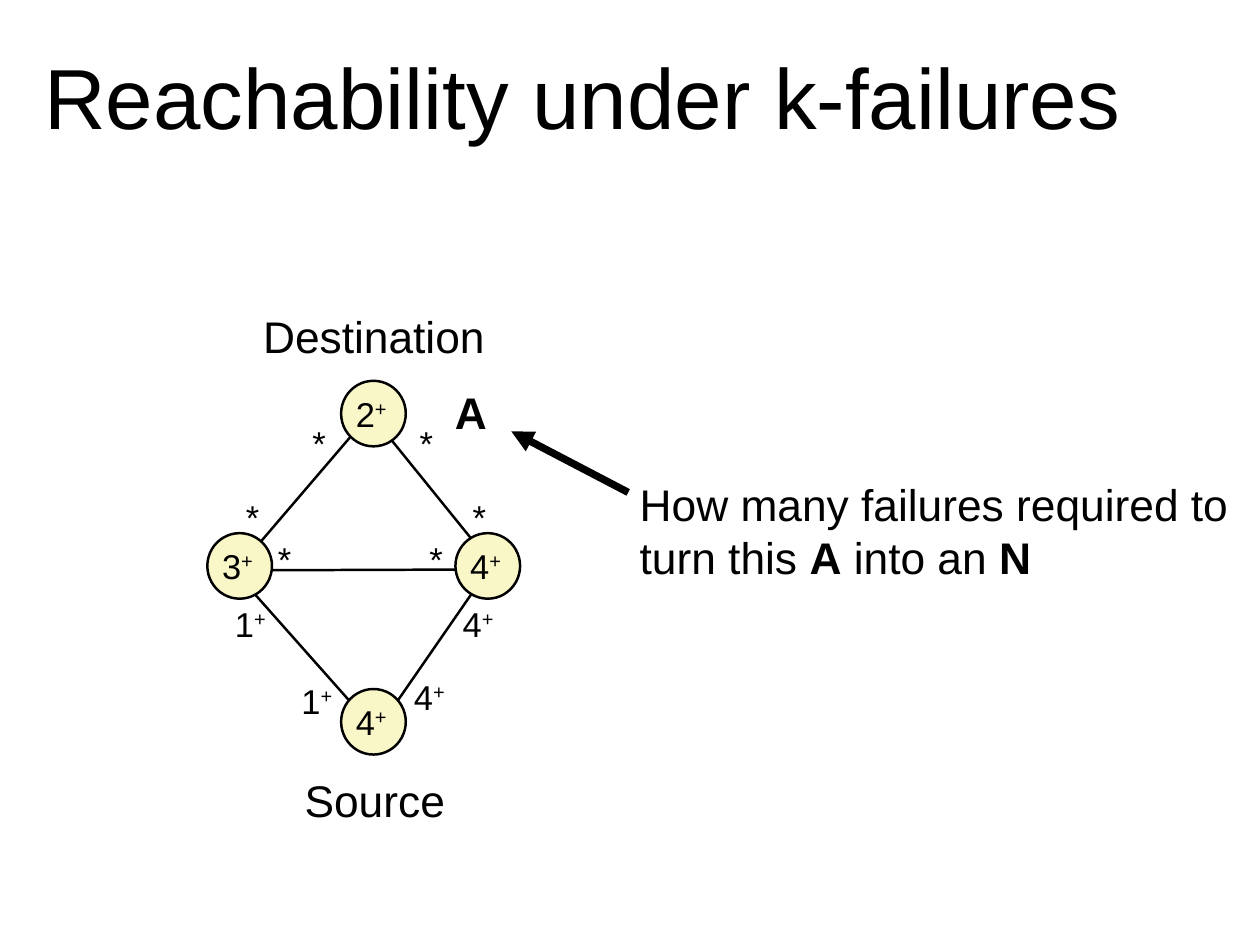
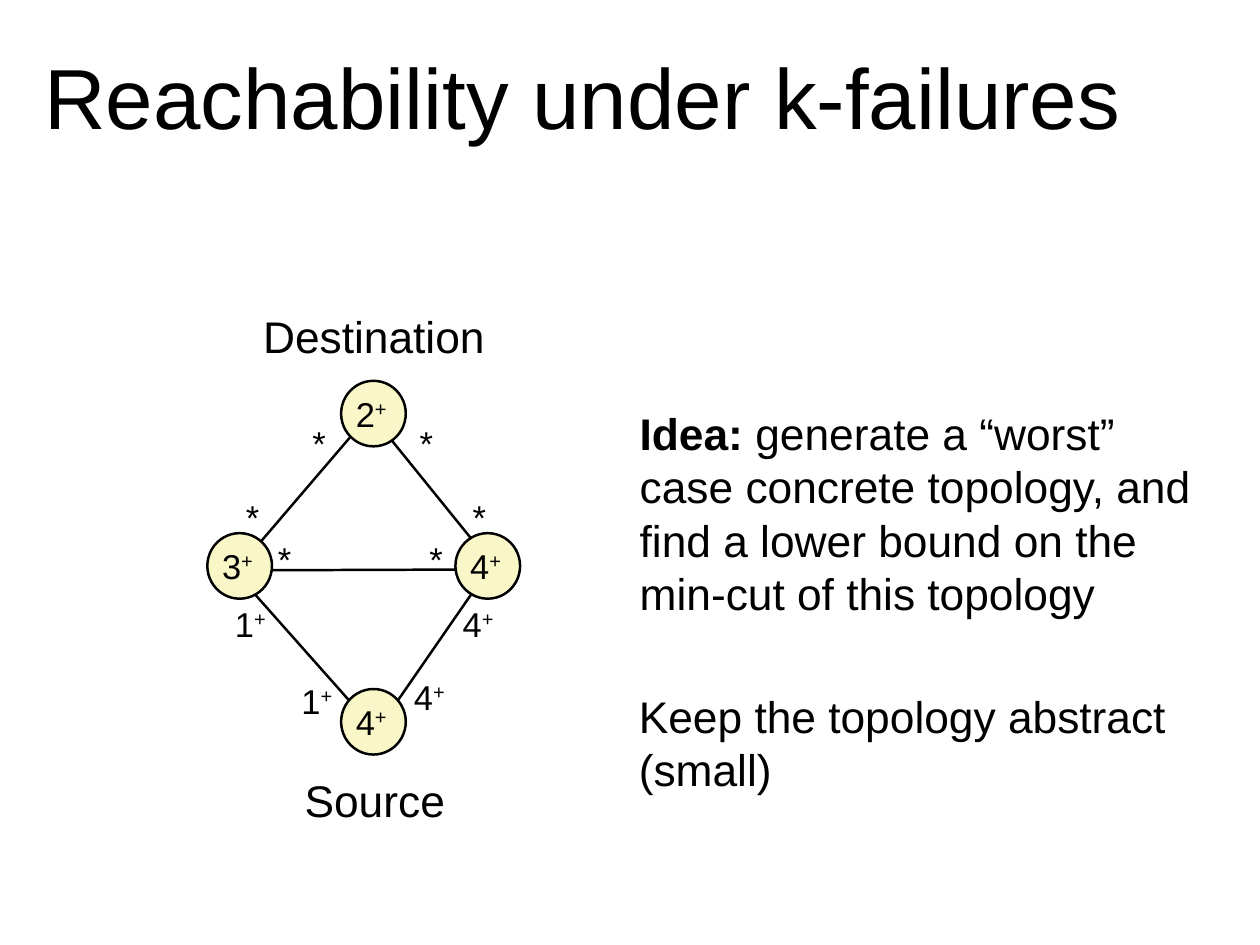
"""Builds two slides on reachability under k-failures in an abstract topology."""
from lxml import etree
from pptx import Presentation
from pptx import util as u
from pptx.dml.color import RGBColor
from pptx.enum import shapes, text
from pptx.oxml import ns

PX = 9144
BLACK = RGBColor(0x00, 0x00, 0x00)
CREAM = RGBColor(0xF9, 0xF6, 0xC7)
FONT = "Arial"
LEFT, MID = text.PP_ALIGN.LEFT, text.PP_ALIGN.CENTER
NODE = (73, 74)

LINKS = [(270, 640, 418, 467), (422, 830, 554, 639), (426, 827, 262, 642),
         (560, 643, 416, 465), (270, 644, 553, 643)]
NODES = [("4", 385, 778), ("2", 385, 430), ("4", 514, 602), ("3", 234, 602)]
COUNTS = [("1", 257, 675), ("1", 332, 762), ("4", 459, 758), ("4", 514, 675)]
STARS = [(478, 602), (307, 602), (271, 554), (346, 471), (527, 554), (467, 471)]


def write(frame, rows, size=36, align=LEFT, anchor=text.MSO_ANCHOR.MIDDLE,
          wrap=False, right=6):
    """Fill a frame with rows of (words, style) runs; b is bold, s superscript."""
    frame.word_wrap = wrap
    frame.vertical_anchor = anchor
    frame.margin_left = frame.margin_top = frame.margin_bottom = 6 * PX
    frame.margin_right = right * PX
    for i, row in enumerate(rows):
        para = frame.add_paragraph() if i else frame.paragraphs[0]
        para.alignment = align
        for words, style in row:
            run = para.add_run()
            run.text = words
            run.font.name = FONT
            run.font.size = u.Pt(size)
            run.font.bold = style == "b"
            run.font.color.rgb = BLACK
            if style == "s":
                run.font._element.set("baseline", "32000")


def plus(digit):
    """Return the row for a digit with a raised plus."""
    return [(digit, ""), ("+", "s")]


class Deck:
    """Holds the presentation, its style and the current slide."""

    def __init__(self):
        """Open an empty deck of the right size."""
        self.prs = Presentation()
        self.prs.slide_width, self.prs.slide_height = 1422 * PX, 1067 * PX

    def page(self, title):
        """Start a slide with its title."""
        self.slide = self.prs.slides.add_slide(self.prs.slide_layouts[6])
        self.label([[(title, "")]], 44, 44, 1376, 127, size=69.3,
                   anchor=text.MSO_ANCHOR.BOTTOM, wrap=True)

    def label(self, rows, x, y, w, h, **form):
        """Add a text box."""
        box = self.slide.shapes.add_textbox(x * PX, y * PX, w * PX, h * PX)
        write(box.text_frame, rows, **form)
        if not form.get("wrap"):
            box.text_frame.auto_size = text.MSO_AUTO_SIZE.SHAPE_TO_FIT_TEXT

    def link(self, ends, width=2, arrow=False):
        """Add a straight line, with an arrowhead at its end if asked."""
        line = self.slide.shapes.add_connector(
            shapes.MSO_CONNECTOR.STRAIGHT, *(v * PX for v in ends))
        line.line.color.rgb = BLACK
        line.line.width = u.Pt(width)
        if arrow:
            etree.SubElement(line.line._get_or_add_ln(), ns.qn("a:tailEnd"), type="triangle")
        etree.SubElement(line._element.spPr, ns.qn("a:effectLst"))

    def node(self, digit, x, y):
        """Add a circle with its count."""
        w, h = NODE
        disc = self.slide.shapes.add_shape(
            shapes.MSO_SHAPE.OVAL, x * PX, y * PX, w * PX, h * PX)
        disc.shadow.inherit = False
        disc.fill.solid()
        disc.fill.fore_color.rgb = CREAM
        disc.line.color.rgb = BLACK
        disc.line.width = u.Pt(2)
        write(disc.text_frame, [plus(digit)], size=28, align=MID, right=11)

    def graph(self):
        """Draw the abstract topology with its labels."""
        for ends in LINKS:
            self.link(ends)
        for spot in NODES:
            self.node(*spot)
        for digit, x, y in COUNTS:
            self.label([plus(digit)], x, y, 51, 58, size=28, align=MID)
        for x, y in STARS:
            self.label([[("*", "")]], x, y, 28, 58, size=28, align=MID)
        self.label([[("Source", "")]], 323, 867, 200, 71, align=MID)
        self.label([[("Destination", "")]], 282, 344, 280, 71, align=MID)


def main():
    """Build both slides and save the deck."""
    deck = Deck()
    title = "Reachability under k-failures"

    deck.page(title)
    deck.graph()
    deck.label([[("How many failures required to", "")],
                [("turn this ", ""), ("A", "b"), (" into an ", ""), ("N", "b")]],
               716, 533, 693, 131)
    deck.label([[("A", "b")]], 507, 430, 49, 71, align=MID)
    deck.link((709, 556, 577, 487), width=6, arrow=True)

    deck.page(title)
    deck.graph()
    deck.label([[("Idea:", "b"), (" generate a “worst”", "")],
                [("case concrete topology, and", "")],
                [("find a lower bound on the", "")],
                [("min-cut of this topology", "")]], 716, 454, 677, 250)
    deck.label([[("Keep the topology abstract", "")], [("(small)", "")]],
               715, 773, 649, 131)

    deck.prs.save("out.pptx")


if __name__ == "__main__":
    main()
